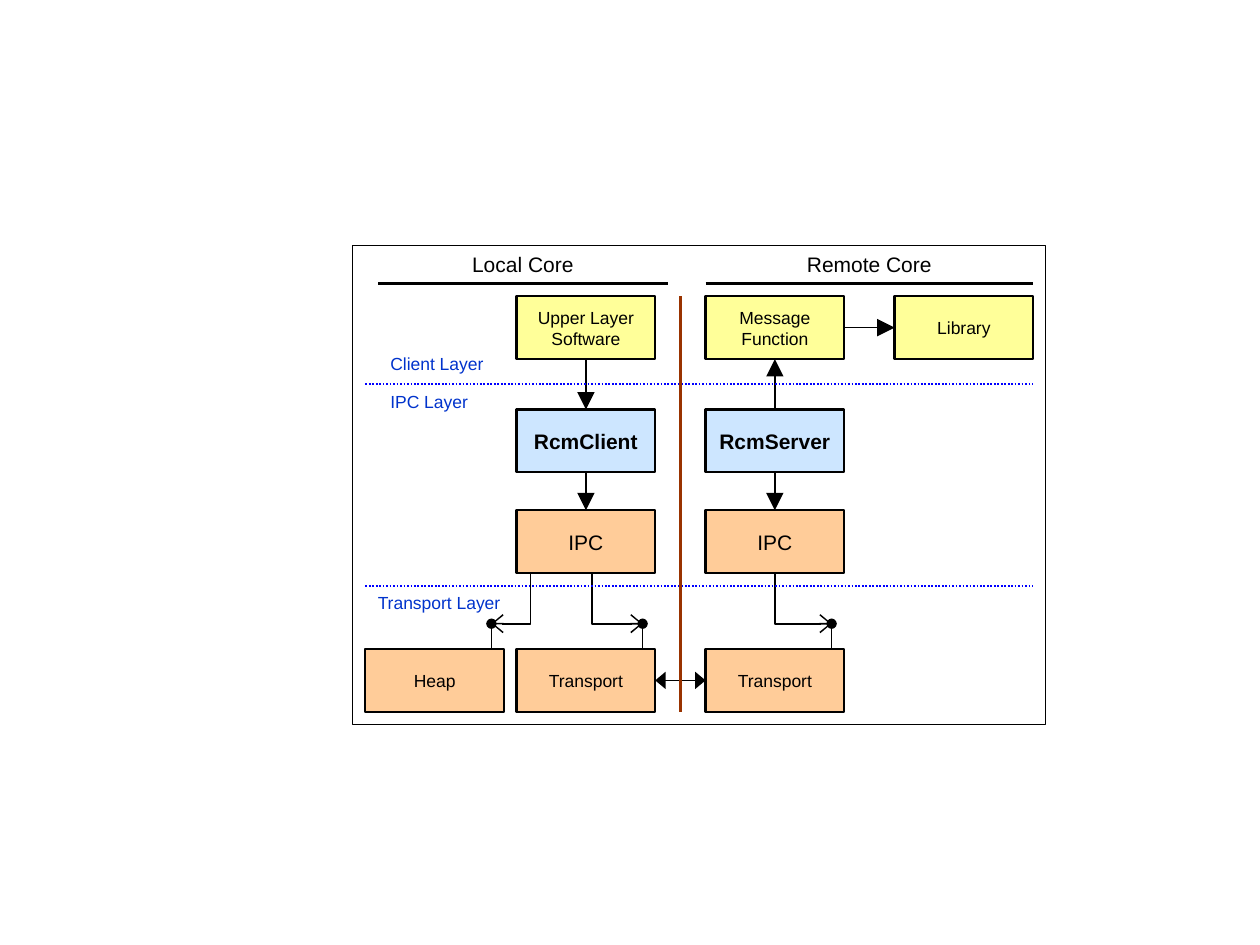
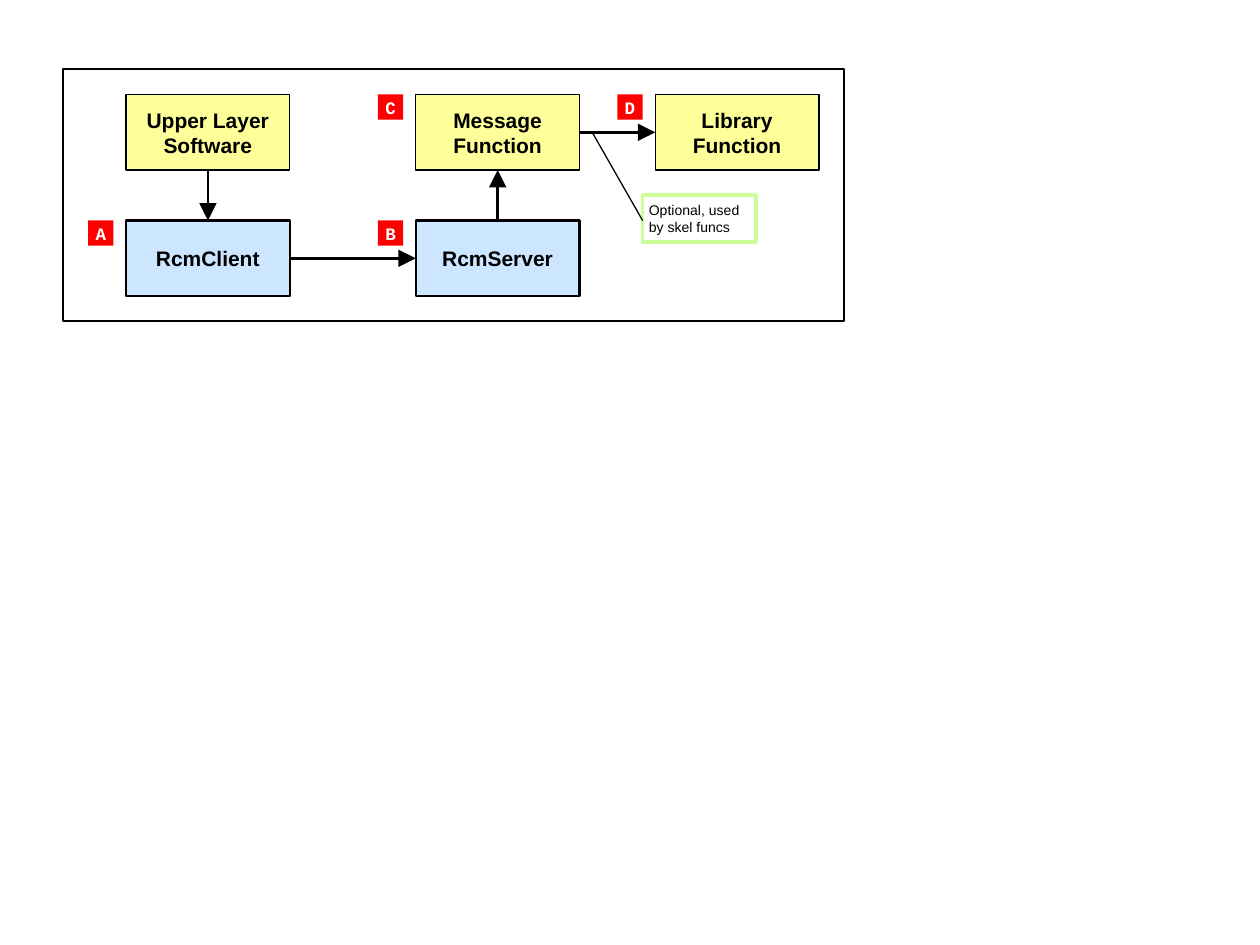
"""Build two diagrams of the RCM client and server: the layer stack and the call flow."""
from dataclasses import dataclass

from lxml.etree import SubElement
from pptx import Presentation
from pptx.dml.color import RGBColor
from pptx.enum.dml import MSO_LINE
from pptx.enum.shapes import MSO_CONNECTOR as CONN, MSO_SHAPE as SHAPE
from pptx.enum.text import MSO_ANCHOR as ANCHOR, PP_ALIGN as ALIGN
from pptx.oxml.ns import qn
from pptx.util import Cm, Pt

COLORS = {
    "black": "000000", "white": "FFFFFF", "client": "FFFF99", "rcm": "CDE6FF",
    "ipc": "FFCC99", "layer": "0033CC", "boundary": "0000FF", "divider": "993300",
    "badge": "FF0000", "note": "CCFF99",
}
FONT = "Arial"
MONO = "Courier New"
TOP, LEFT, BOTTOM, RIGHT = range(4)
BIG = ("triangle", "lg", "lg")
FLAT = ("triangle", "lg", "med")
OPEN = ("arrow", "lg", "med")
DOT = ("oval", "med", "med")


@dataclass
class Box:
    """A rectangle with optional text; position and size in inches."""
    x: float
    y: float
    w: float
    h: float
    text: str = ""
    fill: str | None = None
    line: str | None = None
    weight: float = 1.25
    size: int = 10
    bold: bool = False
    font: str = FONT
    color: str = "black"
    align: ALIGN = ALIGN.CENTER
    anchor: ANCHOR = ANCHOR.MIDDLE
    wrap: bool = False
    side: float = 0.1


@dataclass
class Line:
    """A line between two points in inches, with optional ends."""
    x1: float
    y1: float
    x2: float
    y2: float
    color: str = "black"
    weight: float = 1
    dash: MSO_LINE | None = None
    tail: tuple | None = None


@dataclass
class Link:
    """An arrow glued to sides of two named boxes."""
    start: str
    start_side: int
    end: str
    end_side: int
    weight: float = 1
    tail: tuple = BIG
    head: tuple | None = None


def inch(value: float) -> Cm:
    """Turn grid inches into a length."""
    return Cm(value * 2.54)


def rgb(name: str) -> RGBColor:
    """Look up a named colour."""
    return RGBColor.from_string(COLORS[name])


def set_all(target, values: dict) -> None:
    """Set several attributes of one object."""
    for name, value in values.items():
        setattr(target, name, value)


def draw_box(s, box: Box):
    """Draw a rectangle, or a text box when it has neither fill nor line."""
    place = [inch(v) for v in (box.x, box.y, box.w, box.h)]
    if box.fill or box.line:
        sp = s.shapes.add_shape(SHAPE.RECTANGLE, *place)
        sp.shadow.inherit = False
        if box.fill:
            sp.fill.solid()
            sp.fill.fore_color.rgb = rgb(box.fill)
        else:
            sp.fill.background()
        if box.line:
            sp.line.color.rgb = rgb(box.line)
            sp.line.width = Pt(box.weight)
        else:
            sp.line.fill.background()
    else:
        sp = s.shapes.add_textbox(*place)
    if box.text:
        tf = sp.text_frame
        set_all(tf, {"word_wrap": box.wrap, "vertical_anchor": box.anchor,
                     "margin_left": inch(box.side), "margin_right": inch(box.side),
                     "margin_top": inch(0.05), "margin_bottom": inch(0.05)})
        p = tf.paragraphs[0]
        p.text = box.text
        p.alignment = box.align
        for r in p.runs:
            set_all(r.font, {"name": box.font, "size": Pt(box.size), "bold": box.bold})
            r.font.color.rgb = rgb(box.color)
    return sp


def style_line(c, color: str, weight: float, dash=None, head=None, tail=None) -> None:
    """Format a connector and give it its ends."""
    c.line.color.rgb = rgb(color)
    c.line.width = Pt(weight)
    if dash:
        c.line.dash_style = dash
    ln = c.line._get_or_add_ln()
    for tag, end in (("a:headEnd", head), ("a:tailEnd", tail)):
        if end:
            SubElement(ln, qn(tag), dict(zip(("type", "w", "len"), end)))
    SubElement(c._element.spPr, qn("a:effectLst"))


def draw_line(s, line: Line) -> None:
    """Draw a straight line."""
    ends = [inch(v) for v in (line.x1, line.y1, line.x2, line.y2)]
    c = s.shapes.add_connector(CONN.STRAIGHT, *ends)
    style_line(c, line.color, line.weight, line.dash, tail=line.tail)


def draw_link(s, shapes: dict, link: Link) -> None:
    """Draw an arrow glued to two boxes."""
    c = s.shapes.add_connector(CONN.STRAIGHT, 0, 0, 0, 0)
    c.begin_connect(shapes[link.start], link.start_side)
    c.end_connect(shapes[link.end], link.end_side)
    style_line(c, "black", link.weight, head=link.head, tail=link.tail)


def draw_elbow(s, line: Line) -> None:
    """Draw a connector that runs down and then sideways."""
    across, down = abs(line.x2 - line.x1), line.y2 - line.y1
    mid_x, mid_y = (line.x1 + line.x2) / 2, (line.y1 + line.y2) / 2
    left, top = mid_x - down / 2, mid_y - across / 2
    c = s.shapes.add_connector(CONN.ELBOW, inch(left), inch(top),
                               inch(left + down), inch(top + across))
    c._element.spPr.find(qn("a:prstGeom")).set("prst", "bentConnector2")
    xfrm = c._element.spPr.find(qn("a:xfrm"))
    if line.x2 > line.x1:
        xfrm.set("rot", "16200000")
        xfrm.set("flipH", "1")
    else:
        xfrm.set("rot", "5400000")
    style_line(c, line.color, line.weight, tail=line.tail)


def layer_slide(s) -> None:
    """Draw the layers of the local and remote cores."""
    heap_x, local_x, remote_x, library_x = 2.9, 4.1, 5.6, 7.1
    client_y, rcm_y, ipc_y, transport_y = 2.35, 3.25, 4.05, 5.15
    pin_y, ipc_bottom = 4.95, ipc_y + 0.5

    for x, w, text in ((3, 2.3, "Local Core"), (remote_x, 2.6, "Remote Core")):
        draw_box(s, Box(x, 1.95, w, 0.3, text, size=12))
        draw_line(s, Line(x, 2.25, x + w, 2.25, weight=1.25))

    stack = {
        "upper": (local_x, client_y, "Upper Layer\nSoftware", "client", 10),
        "message": (remote_x, client_y, "Message\nFunction", "client", 10),
        "library": (library_x, client_y, "Library", "client", 10),
        "client": (local_x, rcm_y, "RcmClient", "rcm", 12),
        "server": (remote_x, rcm_y, "RcmServer", "rcm", 12),
        "local ipc": (local_x, ipc_y, "IPC", "ipc", 12),
        "remote ipc": (remote_x, ipc_y, "IPC", "ipc", 12),
        "heap": (heap_x, transport_y, "Heap", "ipc", 10),
        "local transport": (local_x, transport_y, "Transport", "ipc", 10),
        "remote transport": (remote_x, transport_y, "Transport", "ipc", 10),
    }
    shapes = {
        key: draw_box(s, Box(x, y, 1.1, 0.5, text, fill, "black", size=size,
                             bold=fill == "rcm"))
        for key, (x, y, text, fill, size) in stack.items()
    }
    for link in (
        Link("upper", BOTTOM, "client", TOP),
        Link("server", TOP, "message", BOTTOM),
        Link("message", RIGHT, "library", LEFT),
        Link("client", BOTTOM, "local ipc", TOP),
        Link("server", BOTTOM, "remote ipc", TOP),
        Link("local transport", RIGHT, "remote transport", LEFT, 0.75, FLAT, FLAT),
    ):
        draw_link(s, shapes, link)

    for start_x, pin_x in ((4.21, 3.9), (4.7, 5.1), (6.15, 6.6)):
        draw_line(s, Line(pin_x, transport_y, pin_x, pin_y, tail=DOT))
        draw_elbow(s, Line(start_x, ipc_bottom, pin_x, pin_y, tail=OPEN))

    for y in (3.05, 4.65):
        draw_line(s, Line(heap_x, y, 8.2, y, "boundary", dash=MSO_LINE.ROUND_DOT))
    for x, y, w, text in ((3, 2.75, 1, "Client Layer"), (3, 3.05, 1, "IPC Layer"),
                          (2.9, 4.65, 1.2, "Transport Layer")):
        draw_box(s, Box(x, y, w, 0.27, text, color="layer", align=ALIGN.LEFT))
    draw_line(s, Line(5.4, client_y, 5.4, 5.65, "divider", 2))
    draw_box(s, Box(2.8, 1.95, 5.5, 3.8, line="black", weight=0.75))


def call_slide(s) -> None:
    """Draw the steps of a remote call."""
    local_x, server_x, library_x = 1, 3.3, 5.2
    client_y, rcm_y = 0.75, 1.75
    steps = {
        "upper": (local_x, client_y, "Upper Layer\nSoftware", "client", 0.75),
        "message": (server_x, client_y, "Message\nFunction", "client", 0.75),
        "library": (library_x, client_y, "Library\nFunction", "client", 0.75),
        "client": (local_x, rcm_y, "RcmClient", "rcm", 1.25),
        "server": (server_x, rcm_y, "RcmServer", "rcm", 1.25),
    }
    shapes = {
        key: draw_box(s, Box(x, y, 1.3, 0.6, text, fill, "black", weight, 12, True))
        for key, (x, y, text, fill, weight) in steps.items()
    }
    for link in (
        Link("upper", BOTTOM, "client", TOP, 1.5),
        Link("client", RIGHT, "server", LEFT, 1.5),
        Link("server", TOP, "message", BOTTOM, 1.5),
        Link("message", RIGHT, "library", LEFT, 1.5),
    ):
        draw_link(s, shapes, link)
    for letter, x, y in (("A", local_x, rcm_y), ("B", server_x, rcm_y),
                         ("C", server_x, client_y), ("D", library_x, client_y)):
        draw_box(s, Box(x - 0.3, y, 0.2, 0.2, letter, "badge", bold=True, font=MONO,
                        color="white", side=0.05))
    draw_box(s, Box(0.5, 0.55, 6.2, 2, line="black", weight=1))
    draw_box(s, Box(5.1, 1.55, 0.9, 0.37, "Optional, used by skel funcs", line="note",
                    weight=2, size=8, align=ALIGN.LEFT, anchor=ANCHOR.TOP, wrap=True,
                    side=0.05))
    draw_line(s, Line(5.1, 1.75, 4.7, 1.05, weight=0.75))


def main() -> None:
    """Build and save the presentation."""
    prs = Presentation()
    prs.slide_width, prs.slide_height = inch(10), inch(7.5)
    blank = prs.slide_layouts[6]
    for draw in (layer_slide, call_slide):
        draw(prs.slides.add_slide(blank))
    prs.save("out.pptx")


if __name__ == "__main__":
    main()
